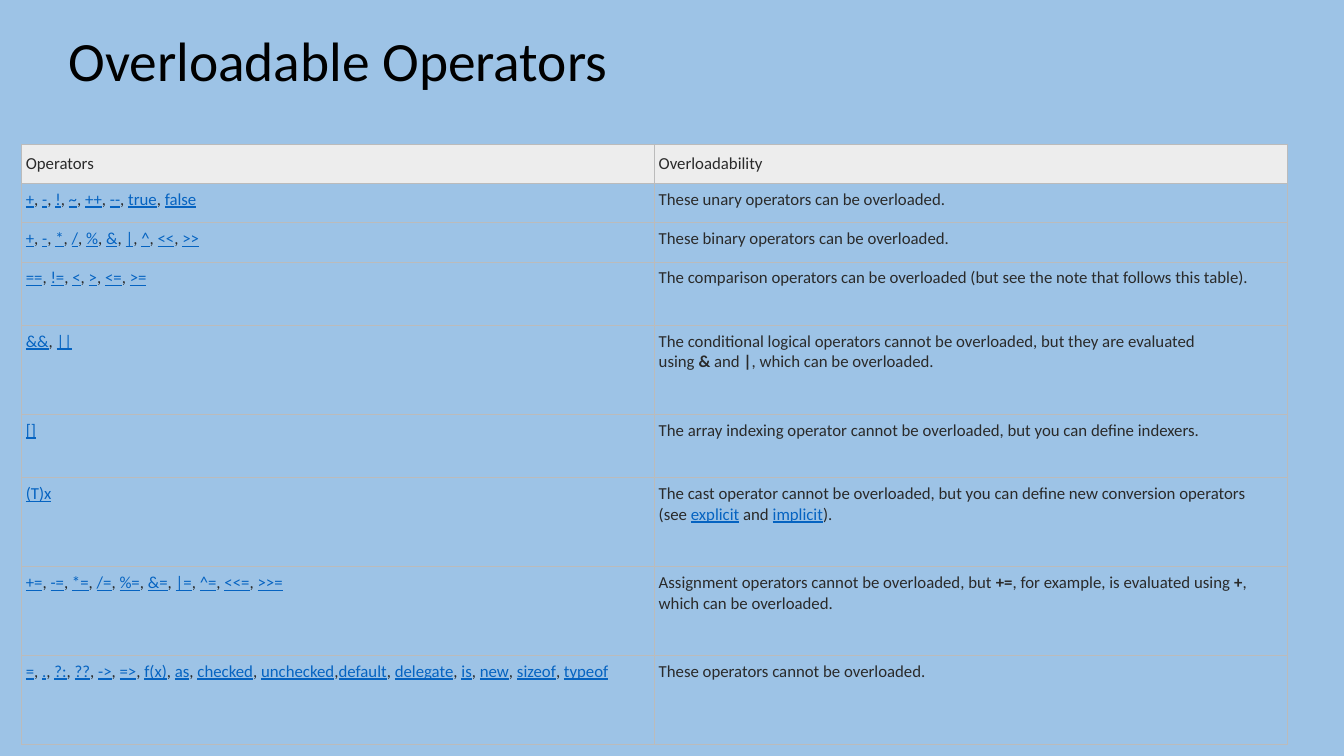
import pptx
import pptx.dml.color
import pptx.enum.text
import pptx.oxml
import pptx.oxml.ns
import pptx.util

Cm, Pt = pptx.util.Cm, pptx.util.Pt
RGB = pptx.dml.color.RGBColor
ANCHOR = pptx.enum.text.MSO_ANCHOR
NBSP = "\u00a0"

COLORS = {"background": "9DC3E6", "title": "000000", "text": "2A2A2A",
          "link": "0563C1", "header": "EDEDED", "border": "BBBBBB"}
TITLE = "Overloadable Operators"
HEADER = ("Operators", "Overloadability")
SHORT, MEDIUM, TALL = 0.99, 1.6, 2.24
ROWS = [
    (SHORT, "+, -, !, ~, ++, --, true, false",
     [("These unary operators can be overloaded.", "plain")]),
    (SHORT, "+, -, *, /, %, &, |, ^, <<, >>",
     [("These binary operators can be overloaded.", "plain")]),
    (MEDIUM, "==, !=, <, >, <=, >=",
     [("The comparison operators can be overloaded "
       "(but see the note that follows this table).", "plain")]),
    (TALL, "&&, ||",
     [("The conditional logical operators cannot be overloaded, "
       "but they are evaluated using" + NBSP, "plain"),
      ("&", "bold"), (NBSP + "and" + NBSP, "plain"), ("|", "bold"),
      (", which can be overloaded.", "plain")]),
    (MEDIUM, "[]",
     [("The array indexing operator cannot be overloaded, "
       "but you can define indexers.", "plain")]),
    (TALL, "(T)x",
     [("The cast operator cannot be overloaded, "
       "but you can define new conversion operators (see" + NBSP, "plain"),
      ("explicit", "link"), (NBSP + "and" + NBSP, "plain"),
      ("implicit", "link"), (").", "plain")]),
    (TALL, "+=, -=, *=, /=, %=, &=, |=, ^=, <<=, >>=",
     [("Assignment operators cannot be overloaded, but" + NBSP, "plain"),
      ("+=", "bold"), (", for example, is evaluated using" + NBSP, "plain"),
      ("+", "bold"), (", which can be overloaded.", "plain")]),
    (TALL, "=, ., ?:, ??, ->, =>, f(x), as, checked, unchecked,default, "
           "delegate, is, new, sizeof, typeof",
     [("These operators cannot be overloaded.", "plain")]),
]
FORMATS = {
    "title": {"size": Pt(39.6), "color": "title"},
    "plain": {"size": Pt(12), "color": "text"},
    "bold": {"size": Pt(12), "color": "text", "bold": True},
    "link": {"size": Pt(12), "color": "link", "underline": True},
}
CELL = {"margin_left": Cm(0.1), "margin_right": Cm(0.1),
        "margin_top": Cm(0.15), "margin_bottom": Cm(0.15)}


def set_attrs(obj, values):
    for name, value in values.items():
        setattr(obj, name, value)


def add_runs(p, runs):
    for text, kind in runs:
        r = p.add_run()
        r.text = text
        values = dict(FORMATS[kind], name="Calibri")
        r.font.color.rgb = RGB.from_string(COLORS[values.pop("color")])
        set_attrs(r.font, values)


def operator_runs(text):
    runs = []
    for i, op in enumerate(text.split(",")):
        if i:
            runs.append(("," + NBSP if op.startswith(" ") else ",", "plain"))
        runs.append((op.strip(), "link"))
    return runs


def add_borders(cell):
    for side in "LRTB":
        cell._tc.get_or_add_tcPr().append(pptx.oxml.parse_xml(
            f'<a:ln{side} {pptx.oxml.ns.nsdecls("a")} w="{Pt(0.6)}"><a:solidFill>'
            f'<a:srgbClr val="{COLORS["border"]}"/></a:solidFill></a:ln{side}>'))


prs = pptx.Presentation()
set_attrs(prs, {"slide_width": Cm(33.87), "slide_height": Cm(19.05)})
s = prs.slides.add_slide(prs.slide_layouts[5])
s.background.fill.solid()
s.background.fill.fore_color.rgb = RGB.from_string(COLORS["background"])

sp = s.shapes.title
set_attrs(sp, {"left": Cm(1.47), "top": Cm(0.89),
               "width": Cm(31.55), "height": Cm(1.4)})
tf = sp.text_frame
set_attrs(tf, {"vertical_anchor": ANCHOR.MIDDLE, "word_wrap": True,
               "auto_size": pptx.enum.text.MSO_AUTO_SIZE.NONE})
p = tf.paragraphs[0]
set_attrs(p, {"alignment": pptx.enum.text.PP_ALIGN.LEFT, "line_spacing": 0.9})
add_runs(p, [(TITLE, "title")])

rows = [(SHORT, [[(text, "plain")] for text in HEADER])]
rows += [(height, [operator_runs(ops), note]) for height, ops, note in ROWS]
table = s.shapes.add_table(len(rows), len(HEADER), Cm(0.55), Cm(3.63), Cm(31.9),
                           Cm(sum(height for height, _ in rows))).table
set_attrs(table, {"first_row": False, "horz_banding": False})
for i, (height, cells) in enumerate(rows):
    table.rows[i].height = Cm(height)
    for j, runs in enumerate(cells):
        cell = table.cell(i, j)
        set_attrs(cell, CELL)
        add_borders(cell)
        if i == 0:
            cell.vertical_anchor = ANCHOR.MIDDLE
            cell.fill.solid()
            cell.fill.fore_color.rgb = RGB.from_string(COLORS["header"])
        else:
            cell.fill.background()
        add_runs(cell.text_frame.paragraphs[0], runs)

prs.save("out.pptx")
